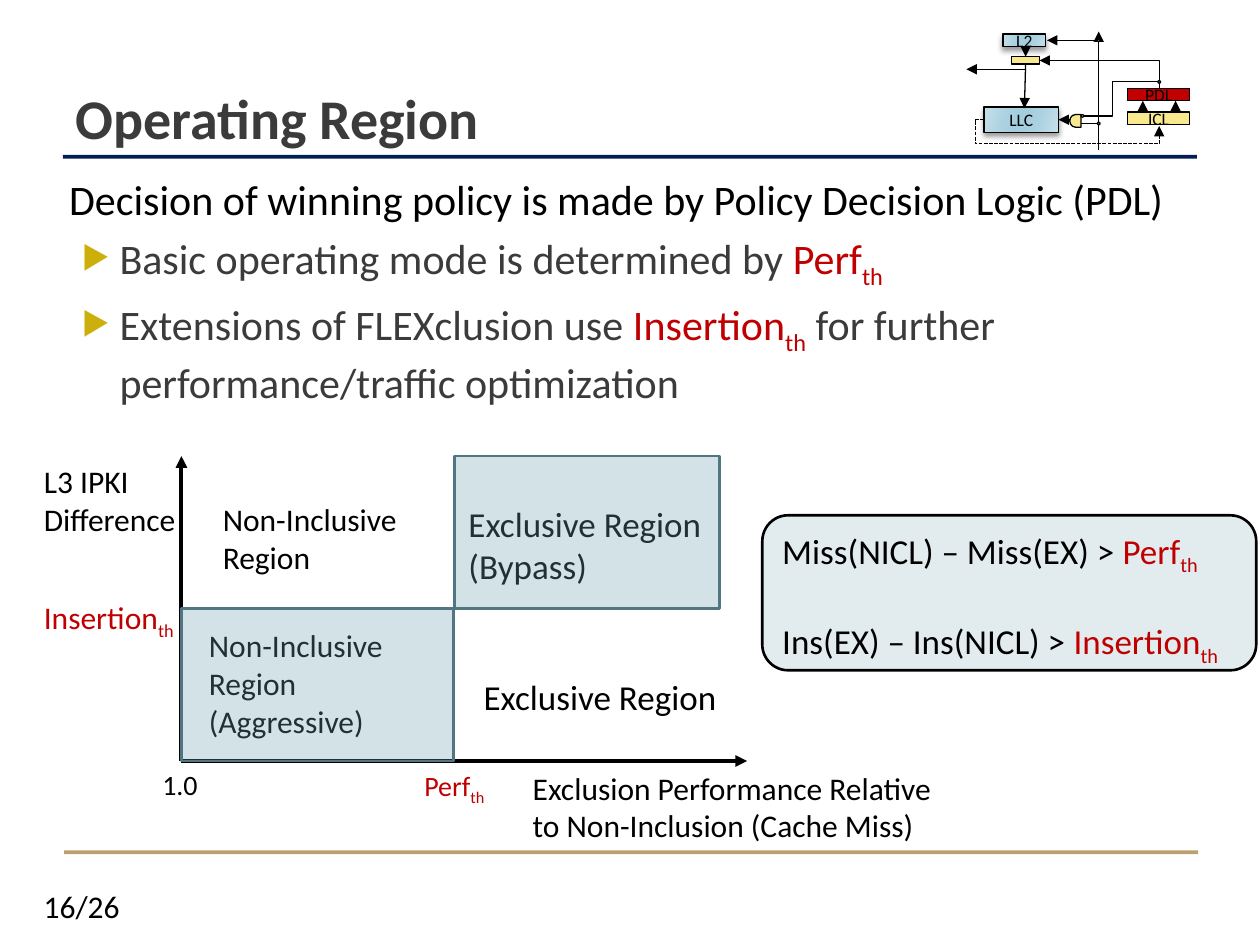
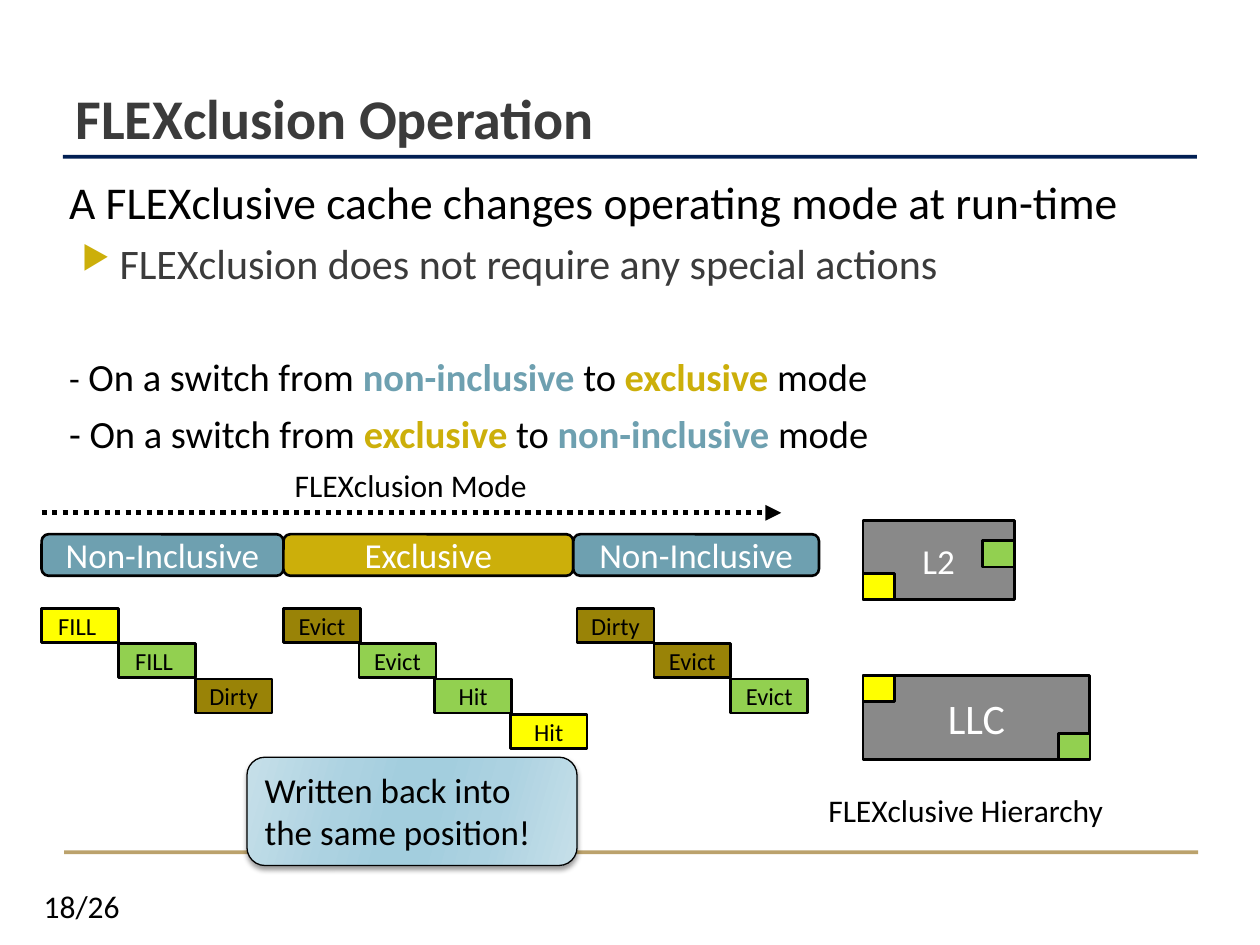
from dataclasses import dataclass

from lxml import etree
from pptx import Presentation
from pptx.dml.color import RGBColor
from pptx.enum.dml import MSO_LINE
from pptx.enum.shapes import MSO_CONNECTOR, MSO_SHAPE
from pptx.enum.text import MSO_ANCHOR, MSO_AUTO_SIZE, PP_ALIGN
from pptx.oxml.ns import qn
from pptx.util import Inches, Pt

RECTANGLE, ROUNDED = MSO_SHAPE.RECTANGLE, MSO_SHAPE.ROUNDED_RECTANGLE
DELAY, DOT = MSO_SHAPE.FLOWCHART_DELAY, MSO_SHAPE.FLOWCHART_CONNECTOR
STRAIGHT, ELBOW = MSO_CONNECTOR.STRAIGHT, MSO_CONNECTOR.ELBOW
DOTTED, DASHED = MSO_LINE.ROUND_DOT, MSO_LINE.SQUARE_DOT
TOP, MIDDLE, BOTTOM = MSO_ANCHOR.TOP, MSO_ANCHOR.MIDDLE, MSO_ANCHOR.BOTTOM
LEFT, CENTER, RIGHT = PP_ALIGN.LEFT, PP_ALIGN.CENTER, PP_ALIGN.RIGHT

WIDTH, HEIGHT = Inches(10), Inches(7.5)
COLUMNS, ROWS = 100, 75
TITLE_ONLY = 5


@dataclass(frozen=True)
class Theme:
    font: str = "Calibri"
    black: str = "000000"
    white: str = "FFFFFF"
    gray_text: str = "3B3B3B"
    navy: str = "011F53"
    tan: str = "BBA26C"
    red: str = "C00000"
    blue: str = "6EA0B0"
    dark_blue: str = "517682"
    pale_blue: str = "E2ECEF"
    gold: str = "CCAF0A"
    dark_gold: str = "998307"
    cream: str = "F9E98E"
    gray: str = "898989"
    yellow: str = "FFFF00"
    green: str = "92D050"
    glass: tuple = ((0, "C6DFE9"), (30, "ACD2E1"), (45, "A3CEDE"),
                    (55, "A3CEDE"), (73, "ACD2E1"), (100, "C6DFE9"))
    title: int = 32
    lead: int = 26
    body: int = 24
    item: int = 22
    large: int = 20
    label: int = 18
    tick: int = 16
    block: int = 14
    tiny: int = 10
    thin: float = 0.75
    medium: float = 1.5
    axis: float = 2.25
    thick: float = 3


THEME = Theme()


@dataclass(frozen=True)
class Run:
    text: str
    color: str = None
    bold: bool = None
    subscript: bool = False
    size: int = None


def across(columns):
    return int(WIDTH * columns / COLUMNS)


def down(rows):
    return int(HEIGHT * rows / ROWS)


def place(box):
    left, top, width, height = box
    return across(left), down(top), across(width), down(height)


def rgb(color):
    return RGBColor.from_string(color)


def child(parent, tag, **attributes):
    return etree.SubElement(parent, qn(tag), {k: str(v) for k, v in attributes.items()})


def threshold(name):
    return [Run(name, THEME.red), Run("th", THEME.red, subscript=True)]


def write(shape, *paragraphs, size=THEME.label, color=THEME.black, bold=False,
          align=LEFT, before=0, margin=0, bullet=None):
    frame = shape.text_frame
    for content in paragraphs:
        paragraph = frame.paragraphs[0]
        if paragraph.runs:
            paragraph = frame.add_paragraph()
        paragraph.alignment = align
        paragraph.space_before = Pt(before)
        properties = paragraph._p.get_or_add_pPr()
        properties.set("marL", str(across(margin)))
        properties.set("indent", str(-across(3) if bullet else 0))
        if bullet:
            child(child(properties, "a:buClr"), "a:srgbClr", val=THEME.gold)
            child(properties, "a:buSzPct", val=76000)
            child(properties, "a:buChar", char=bullet)
        else:
            child(properties, "a:buNone")
        for part in [content] if isinstance(content, str) else content:
            part = Run(part) if isinstance(part, str) else part
            run = paragraph.add_run()
            run.text = part.text
            run.font.name = THEME.font
            run.font.size = Pt(part.size or size)
            run.font.bold = bold if part.bold is None else part.bold
            run.font.color.rgb = rgb(part.color or color)
            if part.subscript:
                run.font._element.set("baseline", "-25000")


def add_label(shapes, box, *paragraphs, wrap=True, **text_format):
    label = shapes.add_textbox(*place(box))
    label.text_frame.word_wrap = wrap
    write(label, *paragraphs, **text_format)
    return label


def add_block(shapes, box, fill, *paragraphs, kind=RECTANGLE, line=THEME.black,
              weight=THEME.medium, alpha=None, anchor=MIDDLE, align=CENTER, **text_format):
    block = shapes.add_shape(kind, *place(box))
    block.shadow.inherit = False
    block.fill.solid()
    block.fill.fore_color.rgb = rgb(fill)
    if alpha:
        color = block._element.spPr.find(qn("a:solidFill"))[0]
        child(color, "a:alpha", val=alpha * 1000)
    if line:
        block.line.color.rgb = rgb(line)
        block.line.width = Pt(weight)
    else:
        block.line.fill.background()
    block.text_frame.vertical_anchor = anchor
    write(block, *paragraphs, align=align, **text_format)
    return block


def add_glass(shapes, box, *paragraphs, **block_format):
    block = add_block(shapes, box, THEME.white, *paragraphs, weight=THEME.thin, **block_format)
    block.fill.gradient()
    block.fill.gradient_angle = 344
    properties = block._element.spPr
    stops = properties.find(qn("a:gradFill")).find(qn("a:gsLst"))
    for stop in list(stops):
        stops.remove(stop)
    for position, color in THEME.glass:
        child(child(stops, "a:gs", pos=position * 1000), "a:srgbClr", val=color)
    shadow = child(properties.find(qn("a:effectLst")), "a:outerShdw", blurRad=Pt(3),
                   dist=Pt(2), dir=90 * 60000, algn="ctr", rotWithShape=0)
    child(child(shadow, "a:srgbClr", val=THEME.black), "a:alpha", val=40000)


def add_line(shapes, start, end, weight=THEME.thin, dash=None, head=False, tail=False,
             kind=STRAIGHT, preset=None, bends=()):
    line = shapes.add_connector(kind, across(start[0]), down(start[1]),
                                across(end[0]), down(end[1]))
    line.line.color.rgb = rgb(THEME.black)
    line.line.width = Pt(weight)
    if dash:
        line.line.dash_style = dash
    properties = line._element.spPr
    outline = properties.find(qn("a:ln"))
    for tag, wanted in (("a:headEnd", head), ("a:tailEnd", tail)):
        if wanted:
            child(outline, tag, type="triangle")
    child(properties, "a:effectLst")
    geometry = properties.find(qn("a:prstGeom"))
    if preset:
        geometry.set("prst", preset)
    if bends:
        guides = geometry.find(qn("a:avLst"))
        if guides is None:
            guides = child(geometry, "a:avLst")
        for number, share in enumerate(bends, 1):
            child(guides, "a:gd", name=f"adj{number}", fmla=f"val {round(share * 100000)}")


def add_slide(presentation, title, page):
    slide = presentation.slides.add_slide(presentation.slide_layouts[TITLE_ONLY])
    shapes = slide.shapes
    add_block(shapes, (5, 12.3, 90, 0.3), THEME.navy, line=None)
    add_block(shapes, (5.1, 67.5, 90, 0.3), THEME.tan, line=None)
    number = add_label(shapes, (2.3, 70.4, 7.2, 3), page, wrap=False, align=RIGHT)
    frame = number.text_frame
    frame.margin_left = frame.margin_right = frame.margin_top = frame.margin_bottom = 0
    frame.vertical_anchor = MIDDLE
    heading = shapes.title
    heading.left, heading.top, heading.width, heading.height = place((5, 1.7, 90, 10.8))
    heading.text_frame.vertical_anchor = BOTTOM
    heading.text_frame.auto_size = MSO_AUTO_SIZE.NONE
    write(heading, title, size=THEME.title, color=THEME.gray_text, bold=True)
    return shapes


def add_body(shapes, height, lead, lead_size, *points):
    body = add_label(shapes, (2.5, 13.3, 92.5, height), lead,
                     size=lead_size, before=6, margin=2)
    write(body, *points, size=THEME.body, color=THEME.gray_text,
          before=5, margin=6, bullet="▶")
    return body


def add_cache_schematic(shapes):
    tiny = {"size": THEME.tiny}
    thin = {"weight": THEME.thin}
    add_block(shapes, (89.5, 7, 4.9, 1), THEME.red, "PDL", **thin, **tiny)
    add_glass(shapes, (78.1, 8.5, 5.9, 2), "LLC", **tiny)
    add_glass(shapes, (79.6, 2.7, 3.4, 1), "L2", **tiny)
    add_line(shapes, (87.2, 11.9), (87.2, 2.5), tail=True)
    gate = add_block(shapes, (84.9, 9.1, 0.9, 1), THEME.cream, kind=DELAY, **thin)
    gate._element.spPr.find(qn("a:xfrm")).set("flipH", "1")
    add_line(shapes, (84.9, 9.5), (84, 9.5), tail=True)
    add_line(shapes, (87.2, 9.8), (85.8, 9.8))
    add_block(shapes, (89.5, 8.9, 4.9, 1), THEME.cream, "ICL", **thin, **tiny)
    add_line(shapes, (78.1, 9.5), (92, 10), dash=DASHED, tail=True, kind=ELBOW,
             preset="bentConnector4", bends=(-0.05, 3.83))
    for column in (90.7, 93.3):
        add_line(shapes, (column, 9), (column, 8), tail=True)
    add_block(shapes, (80.3, 4.5, 2.2, 0.6), THEME.cream, **thin)
    add_line(shapes, (81.4, 5.1), (81.3, 8.6), tail=True)
    add_line(shapes, (82.5, 4.8), (92, 7), head=True, kind=ELBOW, preset="bentConnector2")
    add_line(shapes, (81.4, 3.7), (81.4, 4.5), tail=True)
    add_line(shapes, (91.9, 6.5), (86, 9.2), kind=ELBOW, bends=(0.61,))
    add_line(shapes, (87.1, 3.2), (83.1, 3.2), tail=True)
    add_line(shapes, (81.4, 5.5), (76.7, 5.5), tail=True)
    for column, row, fill in ((87.1, 9.7, THEME.blue), (85.8, 9.1, THEME.white),
                              (91.9, 6.4, THEME.blue), (87.1, 3.1, THEME.blue)):
        add_block(shapes, (column, row, 0.2, 0.2), fill, kind=DOT, **thin)


def add_region_chart(shapes):
    left, split, top, middle, bottom = 14.4, 36, 36.2, 48.3, 60.4
    label_width = 19
    add_label(shapes, (2.5, 36.2, 22, 7.1), "L3 IPKI", "Difference")
    add_line(shapes, (left, bottom), (left, top), THEME.axis, tail=True)
    add_line(shapes, (left, bottom), (59.3, bottom), THEME.axis, tail=True)
    add_label(shapes, (11.9, bottom, 7.6, 3.7), "1.0", size=THEME.tick)
    add_line(shapes, (left, middle), (56.8, middle))
    add_line(shapes, (split, bottom), (split, top))
    add_label(shapes, (32.7, 60.5, 20, 3.7), threshold("Perf"), size=THEME.tick)
    add_label(shapes, (2.5, 47, 12.6, 4), threshold("Insertion"), wrap=False)
    add_label(shapes, (16.7, 39.2, label_width, 7.1), "Non-Inclusive Region")
    add_label(shapes, (37.4, 53.1, 23.3, 4.4), "Exclusive Region", size=THEME.large)
    add_label(shapes, (15.6, 49.2, label_width, 10.1), "Non-Inclusive Region", "(Aggressive)")
    add_label(shapes, (41.3, 60.5, 35.4, 7.1),
              "Exclusion Performance Relative", "to Non-Inclusion (Cache Miss)")
    add_label(shapes, (36.2, 39.4, 24.6, 7.7), "Exclusive Region", "(Bypass)", size=THEME.large)
    for box in ((left, middle, split - left, bottom - middle),
                (split + 0.1, top, 21, middle - top)):
        add_block(shapes, box, THEME.blue, line=THEME.dark_blue, alpha=30)


def build_region_slide(presentation):
    shapes = add_slide(presentation, "Operating Region", "16/26")
    add_body(shapes, 54, "Decision of winning policy is made by Policy Decision Logic (PDL)",
             THEME.body,
             ["Basic operating mode is determined by ", *threshold("Perf")],
             ["Extensions of FLEXclusion use ", *threshold("Insertion"),
              " for further performance/traffic optimization"])
    add_cache_schematic(shapes.add_group_shape().shapes)
    add_region_chart(shapes)
    rules = add_block(shapes, (60.5, 40.9, 39.2, 12.3), THEME.pale_blue,
                      ["Miss(NICL) – Miss(EX) > ", *threshold("Perf")],
                      kind=ROUNDED, anchor=TOP, align=LEFT, size=THEME.large)
    write(rules, ["Ins(EX) – Ins(NICL) > ", *threshold("Insertion")],
          size=THEME.large, before=24.4)


def add_stairs(shapes, column, step, blocks):
    for index, (text, fill) in enumerate(blocks):
        add_block(shapes, (column + index * step, 48.3 + index * 2.8, 6.1, 2.7),
                  fill, text, size=THEME.block)


def add_cache(shapes, box, name, size, lines):
    add_block(shapes, box, THEME.gray, name, size=size, color=THEME.white)
    for column, row, fill in lines:
        add_block(shapes, (column, row, 2.5, 2.1), fill)


def build_operation_slide(presentation):
    shapes = add_slide(presentation, "FLEXclusion Operation", "18/26")
    body = add_body(shapes, 23.2, "A FLEXclusive cache changes operating mode at run-time",
                    THEME.lead, "FLEXclusion does not require any special actions")
    non_inclusive = Run("non-inclusive", THEME.blue, True)
    exclusive = Run("exclusive", THEME.gold, True)
    write(body, [Run("-", size=THEME.large), " On a switch from ", non_inclusive,
                 " to ", exclusive, " mode"], size=THEME.item, before=37.5, margin=2)
    write(body, ["- On a switch from ", exclusive, " to ", non_inclusive, " mode"],
          size=THEME.item, before=6, margin=2)

    add_line(shapes, (3.3, 40.7), (62, 40.7), THEME.thick, dash=DOTTED, tail=True)
    add_label(shapes, (3.3, 36.5, 58.6, 4), "FLEXclusion Mode", align=CENTER)
    for column, width, mode, fill in ((3.3, 19.2, "Non-Inclusive", THEME.blue),
                                      (22.5, 23, "Exclusive", THEME.gold),
                                      (45.5, 19.5, "Non-Inclusive", THEME.blue)):
        add_block(shapes, (column, 42.4, width, 3.3), fill, mode, kind=ROUNDED,
                  size=THEME.large, color=THEME.white)

    add_cache(shapes, (68.5, 41.3, 12, 6.3), "L2", THEME.large,
              ((68.5, 45.5, THEME.yellow), (78, 42.9, THEME.green)))
    add_cache(shapes, (68.5, 53.6, 18, 6.7), "LLC", THEME.body,
              ((68.5, 53.6, THEME.yellow), (84, 58.2, THEME.green)))
    add_label(shapes, (60.5, 62.3, 32.3, 4), "FLEXclusive Hierarchy", align=CENTER)

    add_glass(shapes, (19.6, 60.1, 26.2, 8.6), "Written back into the same position!",
              kind=ROUNDED, anchor=TOP, align=LEFT, size=THEME.large)
    add_stairs(shapes, 3.3, 6.1, (("FILL ", THEME.yellow), ("FILL ", THEME.green),
                                  ("Dirty", THEME.dark_gold)))
    add_stairs(shapes, 22.5, 6, (("Evict", THEME.dark_gold), ("Evict", THEME.green),
                                 ("Hit", THEME.green), ("Hit", THEME.yellow)))
    add_stairs(shapes, 45.8, 6.1, (("Dirty", THEME.dark_gold), ("Evict", THEME.dark_gold),
                                   ("Evict", THEME.green)))


def main():
    presentation = Presentation()
    presentation.slide_width, presentation.slide_height = WIDTH, HEIGHT
    build_region_slide(presentation)
    build_operation_slide(presentation)
    presentation.save("out.pptx")


if __name__ == "__main__":
    main()
